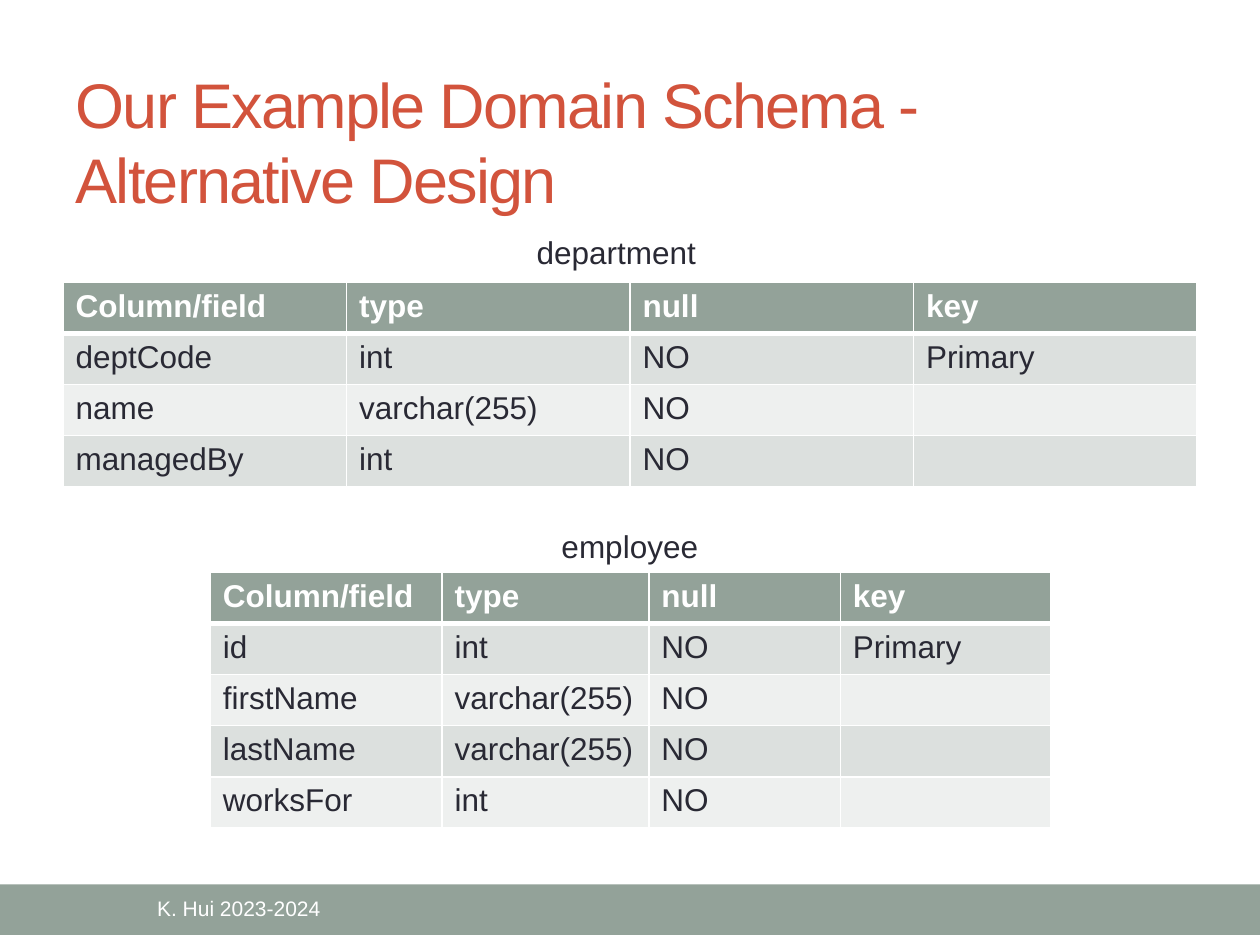
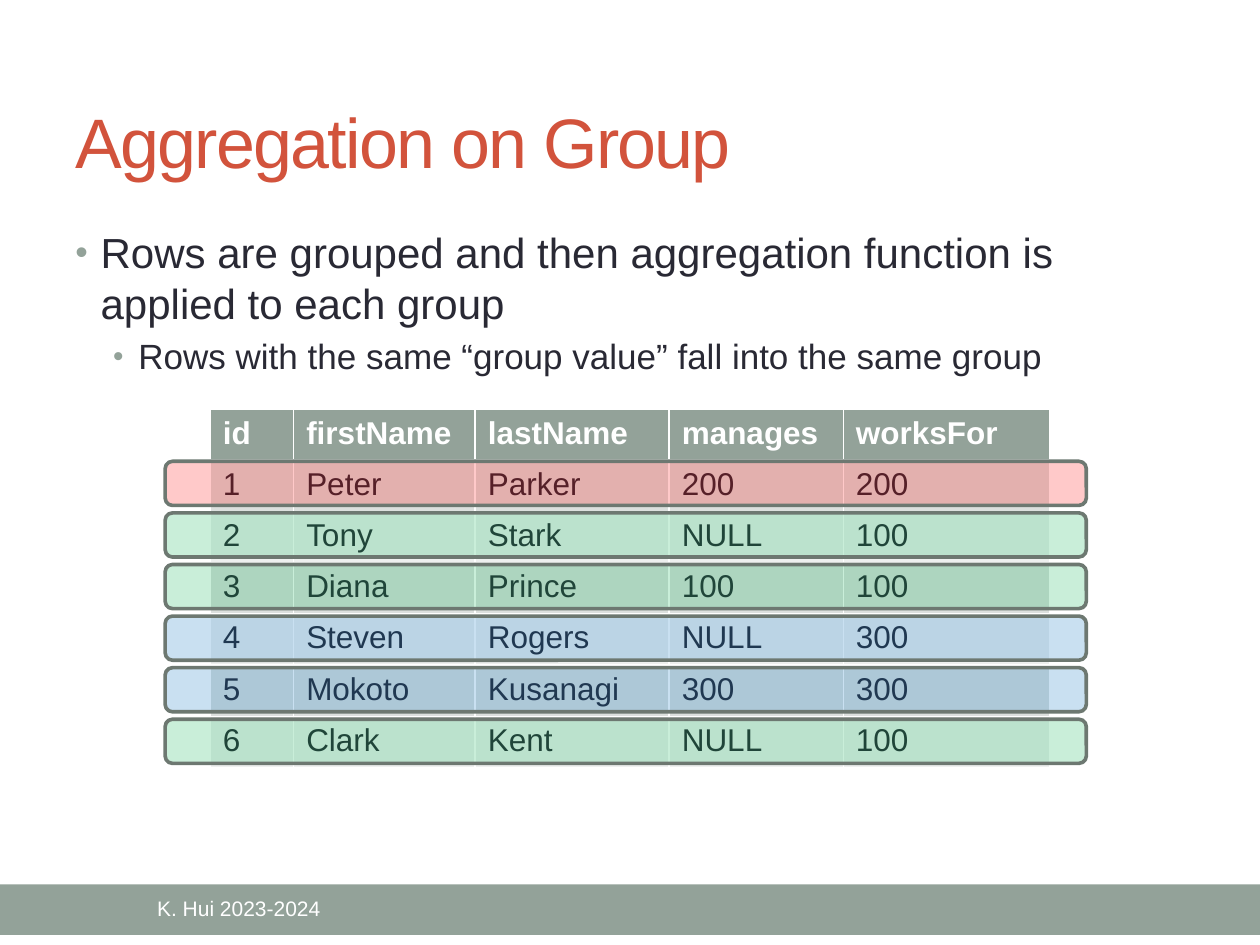
import pptx
import pptx.util
import pptx.dml.color
import pptx.enum.shapes
import pptx.enum.text
import pptx.oxml
import pptx.oxml.ns

Cm, Pt = pptx.util.Cm, pptx.util.Pt
RGB = pptx.dml.color.RGBColor
ALIGN = pptx.enum.text.PP_ALIGN
ANCHOR = pptx.enum.text.MSO_ANCHOR
SHAPE = pptx.enum.shapes.MSO_SHAPE
qn = pptx.oxml.ns.qn

# Colours
WHITE = RGB(0xFF, 0xFF, 0xFF)
INK = RGB(0x29, 0x29, 0x34)
SAGE = RGB(0x93, 0xA2, 0x99)
RUST = RGB(0xD2, 0x53, 0x3C)
EDGE = RGB(0x6D, 0x78, 0x71)
BANDS = (RGB(0xDC, 0xE0, 0xDE), RGB(0xEE, 0xF0, 0xEF))
RED, GREEN, BLUE = RGB(0xFF, 0, 0), RGB(0, 0xB0, 0x50), RGB(0, 0x70, 0xC0)

# Content
FOOT = "K. Hui 2023-2024"
HEAD = ("Column/field", "type", "null", "key")
DEPT = [
    HEAD,
    ("deptCode", "int", "NO", "Primary"),
    ("name", "varchar(255)", "NO", ""),
    ("managedBy", "int", "NO", ""),
]
STAFF = [
    HEAD,
    ("id", "int", "NO", "Primary"),
    ("firstName", "varchar(255)", "NO", ""),
    ("lastName", "varchar(255)", "NO", ""),
    ("worksFor", "int", "NO", ""),
]
PEOPLE = [
    ("id", "firstName", "lastName", "manages", "worksFor"),
    ("1", "Peter", "Parker", "200", "200"),
    ("2", "Tony", "Stark", "NULL", "100"),
    ("3", "Diana", "Prince", "100", "100"),
    ("4", "Steven", "Rogers", "NULL", "300"),
    ("5", "Mokoto", "Kusanagi", "300", "300"),
    ("6", "Clark", "Kent", "NULL", "100"),
]
GROUPS = {"200": RED, "100": GREEN, "300": BLUE}
POINTS = [
    (0, 24, "Rows are grouped and then aggregation function is applied to each group"),
    (1, 20, "Rows with the same \u201cgroup value\u201d fall into the same group"),
]

# Sizes in cm
WIDE, HIGH = 25.4, 19.05
LEFT, SPAN = 1.27, 22.86
ROW = 1.03
STEP = 1.04


def style(font, size, color, **more):
    look = {"name": "Arial", "size": Pt(size), "bold": False, **more}
    for key, value in look.items():
        setattr(font, key, value)
    font.color.rgb = color


def place(item, left, top, width, height):
    box = {"left": left, "top": top, "width": width, "height": height}
    for key, value in box.items():
        setattr(item, key, Cm(value))


def add_text(slide, box, text, size, color, **look):
    frame = slide.shapes.add_textbox(*map(Cm, box)).text_frame
    frame.word_wrap = look.pop("wrap", True)
    frame.vertical_anchor = look.pop("anchor", ANCHOR.TOP)
    para = frame.paragraphs[0]
    para.alignment = look.pop("align", ALIGN.LEFT)
    run = para.add_run()
    run.text = text
    style(run.font, size, color)


def add_bar(slide, kind, box, fill):
    bar = slide.shapes.add_shape(kind, *map(Cm, box))
    bar.shadow.inherit = False
    bar.fill.solid()
    bar.fill.fore_color.rgb = fill
    return bar


def add_slide(title, size):
    """Start a slide with the band, the title and the footer."""
    slide = deck.slides.add_slide(deck.slide_layouts[5])
    band = add_bar(slide, SHAPE.RECTANGLE, (0, 17.83, WIDE, 1.02), SAGE)
    band.line.fill.background()
    head = slide.shapes.title
    place(head, LEFT, 1.47, SPAN, 2.74)
    frame = head.text_frame
    frame.text = title
    look = {"word_wrap": True, "vertical_anchor": ANCHOR.MIDDLE,
            "auto_size": pptx.enum.text.MSO_AUTO_SIZE.NONE}
    for key, value in look.items():
        setattr(frame, key, value)
    para = frame.paragraphs[0]
    para.alignment = ALIGN.LEFT
    font = para.runs[0].font
    style(font, size, RUST)
    para.runs[0]._r.get_or_add_rPr().set("spc", "-100")
    add_text(slide, (LEFT, 17.86, 7.09, 0.91), FOOT, 12, WHITE,
             align=ALIGN.CENTER, anchor=ANCHOR.MIDDLE)
    return slide


def add_edges(cell, row):
    """Draw white cell edges, thick between the header and the body."""
    props = cell._tc.get_or_add_tcPr()
    thick = {"T": row == 1, "B": row == 0}
    for side in "LRTB":
        width = Pt(3 if thick.get(side) else 1)
        props.append(pptx.oxml.parse_xml(
            f'<a:ln{side} {pptx.oxml.ns.nsdecls("a")} w="{width}"><a:solidFill>'
            f'<a:srgbClr val="{WHITE}"/></a:solidFill></a:ln{side}>'))


def add_grid(slide, rows, left, top, cols):
    grid = slide.shapes.add_table(len(rows), len(cols), Cm(left), Cm(top),
                                  Cm(sum(cols)), Cm(ROW * len(rows))).table
    for col, width in zip(grid.columns, cols):
        col.width = Cm(width)
    for r, row in enumerate(rows):
        grid.rows[r].height = Cm(ROW)
        for c, text in enumerate(row):
            cell = grid.cell(r, c)
            add_edges(cell, r)
            cell.fill.solid()
            cell.fill.fore_color.rgb = BANDS[(r - 1) % 2] if r else SAGE
            cell.text = text
            style(cell.text_frame.paragraphs[0].font, 18,
                  INK if r else WHITE, bold=r == 0)


def add_points(slide, box, points):
    frame = slide.shapes.add_textbox(*map(Cm, box)).text_frame
    frame.word_wrap = True
    for n, (level, size, text) in enumerate(points):
        para = frame.add_paragraph() if n else frame.paragraphs[0]
        para.level = level
        para.space_before = Pt(size * 0.2)
        run = para.add_run()
        run.text = text
        style(run.font, size, INK)
        props = para._p.get_or_add_pPr()
        props.set("marL", str(Cm(0.51 + 0.76 * level)))
        props.set("indent", str(-Cm(0.51)))
        for part in (f'buClr {{}}><a:srgbClr val="{SAGE}"/></a:buClr>',
                     'buSzPct {} val="85000"/>',
                     'buFont {} typeface="Arial"/>',
                     'buChar {} char="\u2022"/>'):
            xml = "<a:" + part.format(pptx.oxml.ns.nsdecls("a"))
            props.append(pptx.oxml.parse_xml(xml))


deck = pptx.Presentation()
deck.slide_width, deck.slide_height = Cm(WIDE), Cm(HIGH)

# Slide 1: the two tables of the schema
slide = add_slide("Our Example Domain Schema - Alternative Design", 36)
add_grid(slide, DEPT, LEFT, 5.69, [SPAN / 4] * 4)
add_grid(slide, STAFF, 4.24, 11.54, (4.67, 4.17, 3.86, 4.24))
for name, left, top, width in (("employee", 11.07, 10.49, 3.3),
                               ("department", 10.57, 4.57, 3.76)):
    add_text(slide, (left, top, width, 1.02), name, 18, INK, wrap=False)

# Slide 2: rows marked by the group they fall into
slide = add_slide("Aggregation on Group", 40)
add_points(slide, (LEFT, 4.45, SPAN, 13.1), POINTS)
add_grid(slide, PEOPLE, 4.24, 8.26, (1.68, 3.66, 3.91, 3.51, 4.17))
for n, row in enumerate(PEOPLE[1:]):
    box = (3.33, 9.3 + STEP * n, 18.57, 0.89)
    bar = add_bar(slide, SHAPE.ROUNDED_RECTANGLE, box, GROUPS[row[-1]])
    tint = bar._element.spPr.find(qn("a:solidFill")).find(qn("a:srgbClr"))
    tint.append(pptx.oxml.parse_xml(
        f'<a:alpha {pptx.oxml.ns.nsdecls("a")} val="21000"/>'))
    bar.line.color.rgb = EDGE
    bar.line.width = Pt(2.08)

deck.save("out.pptx")
